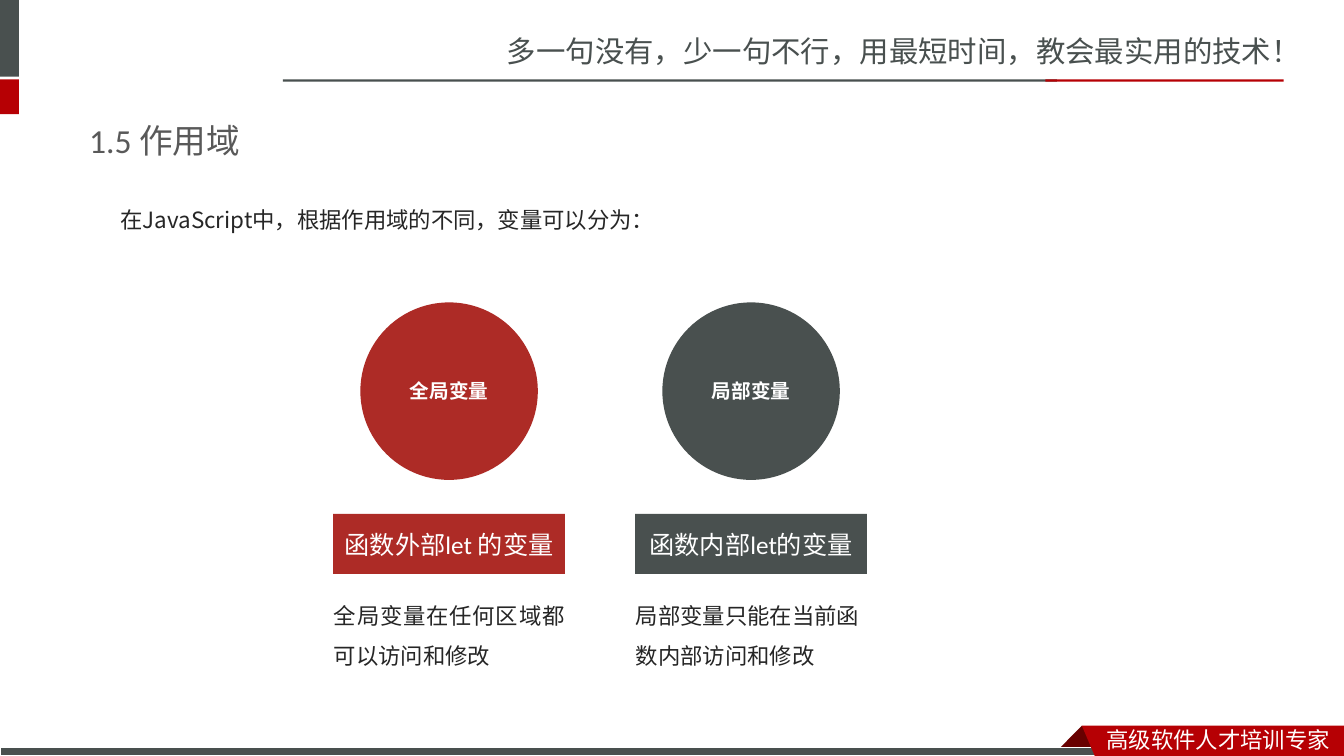
from dataclasses import dataclass

from lxml import etree
from pptx import Presentation
from pptx.dml.color import RGBColor
from pptx.enum.shapes import MSO_SHAPE
from pptx.enum.text import MSO_ANCHOR, MSO_AUTO_SIZE, PP_ALIGN
from pptx.oxml.ns import qn
from pptx.util import Pt

RECTANGLE, OVAL = MSO_SHAPE.RECTANGLE, MSO_SHAPE.OVAL
TOP, MIDDLE = MSO_ANCHOR.TOP, MSO_ANCHOR.MIDDLE
LEFT, CENTER, JUSTIFY = PP_ALIGN.LEFT, PP_ALIGN.CENTER, PP_ALIGN.JUSTIFY
NO_AUTOFIT = MSO_AUTO_SIZE.NONE
TITLE_ONLY = 5


@dataclass(frozen=True)
class Theme:
    slate: str = "49504F"
    crimson: str = "B60004"
    maroon: str = "680000"
    brick: str = "AD2B26"
    white: str = "FFFFFF"
    heading: str = "595959"
    ink: str = "262626"
    latin: str = "Calibri"
    chinese: str = "Noto Sans CJK SC"
    intro_font: str = "Noto Sans CJK JP"
    title_size: float = 24
    slogan_size: float = 21
    label_size: float = 18
    body_size: float = 16
    circle_size: float = 14


THEME = Theme()


def apply(target, values):
    for key, value in values.items():
        setattr(target, key, value)


def write(shape, text, size, color, font=THEME.latin, bold=False,
          anchor=TOP, side_margin=7.2, **paragraph_format):
    frame = shape.text_frame
    apply(frame, {
        "word_wrap": True, "auto_size": NO_AUTOFIT, "vertical_anchor": anchor,
        "margin_left": Pt(side_margin), "margin_right": Pt(side_margin),
        "margin_top": Pt(3.6), "margin_bottom": Pt(3.6),
    })
    paragraph = frame.paragraphs[0]
    apply(paragraph, {"alignment": LEFT, **paragraph_format})
    run = paragraph.add_run()
    run.text = text
    apply(run.font, {"size": Pt(size), "bold": bold, "name": font})
    run.font.color.rgb = RGBColor.from_string(color)
    east_asian = THEME.chinese if font == THEME.latin else font
    etree.SubElement(run.font._element, qn("a:ea"), typeface=east_asian)


def paint(shape, color, outline=None):
    shape.shadow.inherit = False
    shape.fill.solid()
    shape.fill.fore_color.rgb = RGBColor.from_string(color)
    if outline:
        shape.line.color.rgb = RGBColor.from_string(outline)
        shape.line.width = Pt(0.75)
    else:
        shape.line.fill.background()


def add_block(slide, kind, box, color, outline=None):
    block = slide.shapes.add_shape(kind, *map(Pt, box))
    paint(block, color, outline)
    return block


def add_text(slide, box, text, size, color, **options):
    write(slide.shapes.add_textbox(*map(Pt, box)), text, size, color, **options)


def add_outline(slide, left, top, points, color):
    corners = [(Pt(left + x), Pt(top + y)) for x, y in points]
    builder = slide.shapes.build_freeform(*corners[0], scale=1.0)
    builder.add_line_segments(corners[1:], close=True)
    paint(builder.convert_to_shape(), color)


def build_header(slide, left, top, width):
    right = left + width
    add_text(slide, (right - 605, top + 20, 605, 34),
             "多一句没有，少一句不行，用最短时间，教会最实用的技术！",
             THEME.slogan_size, THEME.slate, font=THEME.chinese)
    for box, color in (
        ((left, top, 13.5, 54.7), THEME.slate),
        ((left, top + 56.7, 13.5, 24.8), THEME.crimson),
        ((left + 202, top + 56.7, 553, 1.6), THEME.slate),
        ((right - 213.3, top + 56.7, 170.3, 1.6), THEME.crimson),
    ):
        add_block(slide, RECTANGLE, box, color)


def build_footer(slide, left, top, width, height):
    right, bottom = left + width, top + height
    ribbon_left = right - 187.2
    add_outline(slide, ribbon_left, top,
                [(0, 0), (15.5, 16), (15, 16.6), (-15, 16.6), (-15.8, 16)],
                THEME.maroon)
    add_block(slide, RECTANGLE, (left, bottom - 6.3, 791, 6.3),
              THEME.slate, THEME.white)
    add_outline(slide, ribbon_left, top,
                [(0, 0), (187.2, 0), (187.2, height), (9.2, height)],
                THEME.crimson)
    add_text(slide, (right - 176.6, top - 3.6, 176.6, 27),
             "高级软件人才培训专家", THEME.body_size, THEME.white,
             font=THEME.chinese)


def build_heading(slide, left, top, width, height):
    title = slide.shapes.title
    apply(title, {"left": Pt(left), "top": Pt(top),
                  "width": Pt(width), "height": Pt(height)})
    write(title, "1.5 作用域", THEME.title_size, THEME.heading, anchor=MIDDLE)


def build_intro(slide, left, top, width, height):
    add_text(slide, (left, top, width, height),
             "在JavaScript中，根据作用域的不同，变量可以分为：",
             THEME.body_size, THEME.ink, font=THEME.intro_font,
             line_spacing=1.5, space_before=Pt(7.5))


def build_scope_card(slide, left, top, width, scope, color):
    name, label, description, alignment = scope
    diameter = 126.8
    circle = add_block(
        slide, OVAL,
        (left + (width - diameter) / 2, top, diameter, diameter), color)
    write(circle, name, THEME.circle_size, THEME.white, bold=True,
          anchor=MIDDLE, alignment=CENTER)
    banner = add_block(slide, RECTANGLE, (left, top + 151, width, 43), color)
    write(banner, label, THEME.label_size, THEME.white, anchor=MIDDLE,
          side_margin=0, alignment=CENTER)
    add_text(slide, (left - 6.5, top + 201, width + 13.5, 65), description,
             THEME.body_size, THEME.ink, alignment=alignment, line_spacing=1.5)


def build_scope_cards(slide, left, top, width, pitch):
    scopes = (
        (("全局变量", "函数外部let 的变量",
          "全局变量在任何区域都可以访问和修改", JUSTIFY), THEME.brick),
        (("局部变量", "函数内部let的变量",
          "局部变量只能在当前函数内部访问和修改", LEFT), THEME.slate),
    )
    for index, (scope, color) in enumerate(scopes):
        build_scope_card(slide, left + index * pitch, top, width, scope, color)


def main():
    deck = Presentation()
    apply(deck, {"slide_width": Pt(960), "slide_height": Pt(540)})
    slide = deck.slides.add_slide(deck.slide_layouts[TITLE_ONLY])
    build_header(slide, 0, 0, 960)
    build_footer(slide, 0, 518.4, 960, 21.6)
    build_heading(slide, 56.5, 79.5, 846, 41)
    build_intro(slide, 79, 134, 694, 320)
    build_scope_cards(slide, 238, 216, 165.6, 215.7)
    deck.save("out.pptx")


if __name__ == "__main__":
    main()
